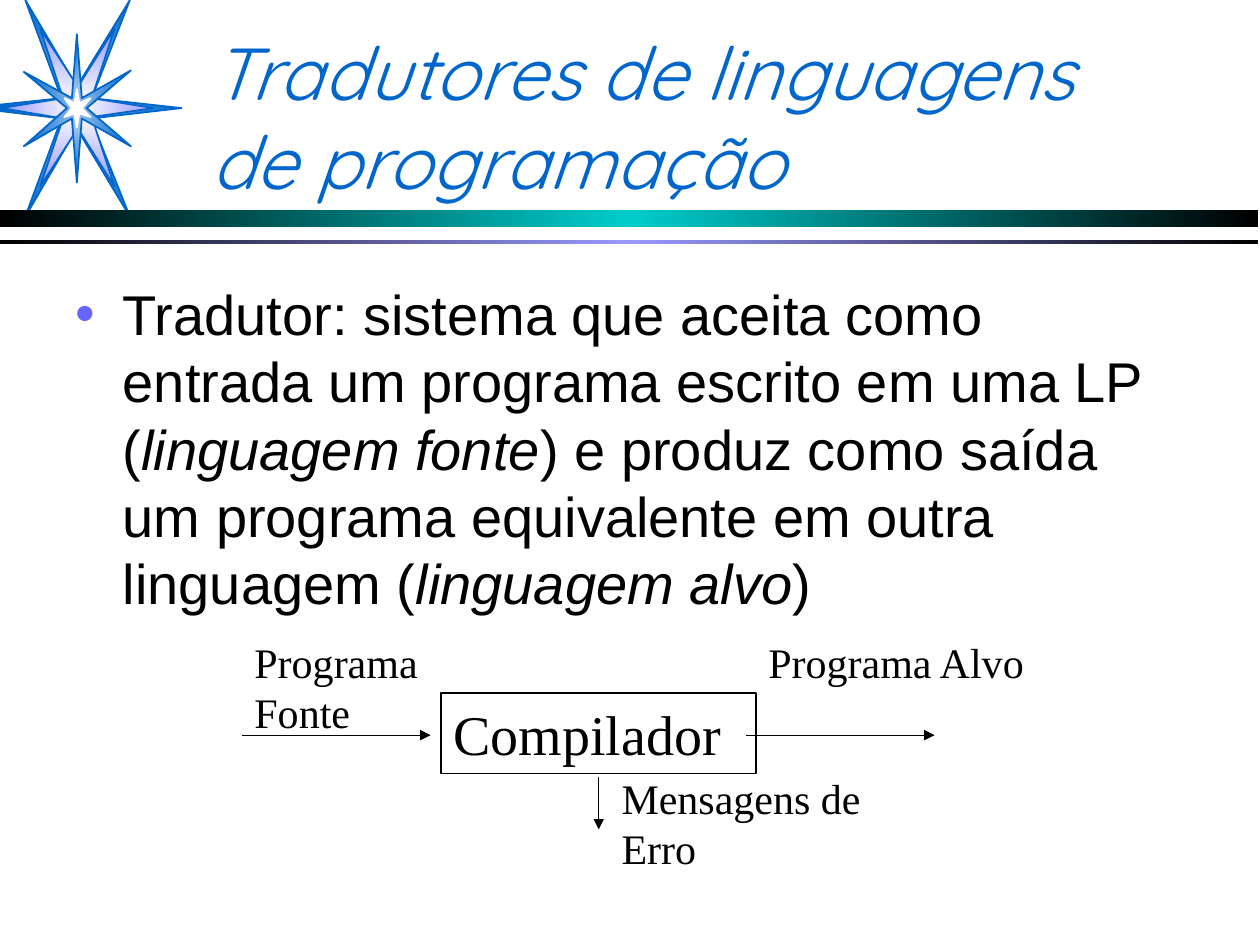
from lxml import etree
from pptx import Presentation
from pptx.dml.color import RGBColor
from pptx.enum.shapes import MSO_CONNECTOR, MSO_SHAPE
from pptx.enum.text import MSO_ANCHOR, MSO_AUTO_SIZE, PP_ALIGN
from pptx.oxml.ns import qn
from pptx.util import Cm, Pt

STRAIGHT = MSO_CONNECTOR.STRAIGHT
RECTANGLE = MSO_SHAPE.RECTANGLE
LEFT = PP_ALIGN.LEFT
TOP, MIDDLE = MSO_ANCHOR.TOP, MSO_ANCHOR.MIDDLE
NO_AUTOFIT = MSO_AUTO_SIZE.NONE

BLACK = RGBColor(0, 0, 0)
WHITE = RGBColor(0xFF, 0xFF, 0xFF)
NEAR_WHITE = RGBColor(0xFE, 0xFE, 0xFE)
BLUE = RGBColor(0x00, 0x66, 0xCC)
MID_BLUE = RGBColor(0x7E, 0xB1, 0xE4)
PALE_BLUE = RGBColor(0x98, 0xC1, 0xE9)
LILAC = RGBColor(0x99, 0x99, 0xFF)
TEAL = RGBColor(0x00, 0xCC, 0xCC)
VIOLET = RGBColor(0x66, 0x66, 0xFF)
SERIF = "Times New Roman"
LINE_HEIGHT = 1.2

TITLE = "Tradutores de linguagens de programação"
DEFINITION = [
    ("Tradutor: sistema que aceita como entrada um programa escrito em uma LP (", False),
    ("linguagem fonte", True),
    (") e produz como saída um programa equivalente em outra linguagem (", False),
    ("linguagem alvo", True),
    (")", False),
]
COMPILER = "Compilador"
LABELS = [
    ("Programa Fonte", 4.88, 12.7, 2.29),
    ("Programa Alvo", 15.24, 12.7, 1.27),
    ("Mensagens de Erro", 12.28, 15.45, 2.29),
]
ARROWS = [
    (4.88, 14.82, 8.68, 14.82),
    (15.04, 14.82, 18.84, 14.82),
    (12.07, 15.66, 12.07, 16.72),
]
STARS = [
    ([MID_BLUE, BLUE], BLUE,
     [(1.24, 1.98), (0.51, 0), (1.55, 1.75), (2.62, 0), (1.85, 1.98), (3.66, 2.18), (1.83, 2.39),
      (2.62, 4.37), (1.55, 2.59), (0.51, 4.37), (1.24, 2.39), (0, 2.24), (0, 2.11)]),
    ([NEAR_WHITE, LILAC], BLUE,
     [(1.27, 1.98), (0.81, 0.58), (1.57, 1.75), (2.31, 0.58), (1.85, 1.98), (3.1, 2.18),
      (1.85, 2.36), (2.31, 3.76), (1.57, 2.59), (0.81, 3.76), (1.27, 2.39), (0.03, 2.18)]),
    ([PALE_BLUE, BLUE], BLUE,
     [(0.48, 1.45), (1.45, 1.98), (1.55, 0.69), (1.65, 1.98), (2.64, 1.42), (1.75, 2.18),
      (2.64, 2.95), (1.65, 2.39), (1.55, 3.68), (1.45, 2.39), (0.48, 2.95), (1.35, 2.18)]),
    ([WHITE, WHITE], WHITE,
     [(1.3, 1.98), (1.5, 2.08), (1.55, 1.8), (1.6, 2.08), (1.83, 1.98), (1.65, 2.18),
      (1.83, 2.36), (1.6, 2.29), (1.55, 2.57), (1.5, 2.29), (1.3, 2.36), (1.45, 2.18)]),
]
BARS = [(4.24, 0.33, TEAL), (4.83, 0.1, LILAC)]


def child(parent, tag, **attributes):
    return etree.SubElement(parent, qn(tag), attributes)


def fill_gradient(shape, colors, from_center):
    shape.fill.gradient()
    gradient = shape._element.spPr.find(qn("a:gradFill"))
    for part in list(gradient):
        gradient.remove(part)
    stops = child(gradient, "a:gsLst")
    for index, color in enumerate(colors):
        stop = child(stops, "a:gs", pos=str(100000 * index // (len(colors) - 1)))
        child(stop, "a:srgbClr", val=str(color))
    if from_center:
        route = child(gradient, "a:path", path="rect")
        child(route, "a:fillToRect", l="50000", t="50000", r="50000", b="50000")
    else:
        child(gradient, "a:lin", ang="0", scaled="0")


def add_star(slide, colors, outline, points):
    corners = [(Cm(x), Cm(y)) for x, y in points]
    builder = slide.shapes.build_freeform(*corners[0])
    builder.add_line_segments(corners[1:], close=True)
    star = builder.convert_to_shape()
    star.shadow.inherit = False
    fill_gradient(star, colors, True)
    star.line.color.rgb = outline
    star.line.width = Pt(1)


def add_bar(slide, top, height, middle_color):
    bar = slide.shapes.add_shape(RECTANGLE, 0, Cm(top), Cm(25.37), Cm(height))
    bar.shadow.inherit = False
    bar.line.fill.background()
    fill_gradient(bar, [BLACK, middle_color, BLACK], False)


def place(shape, left, top, width, height):
    shape.left, shape.top = Cm(left), Cm(top)
    shape.width, shape.height = Cm(width), Cm(height)


def format_text(shape, font_name, size, color, anchor=TOP):
    frame = shape.text_frame
    frame.word_wrap = True
    frame.auto_size = NO_AUTOFIT
    frame.vertical_anchor = anchor
    paragraph = frame.paragraphs[0]
    paragraph.alignment = LEFT
    paragraph.space_before = Pt(0)
    paragraph.line_spacing = Pt(round(size * LINE_HEIGHT, 1))
    for run in paragraph.runs:
        run.font.name = font_name
        run.font.size = Pt(size)
        run.font.color.rgb = color


def add_title(slide):
    title = slide.shapes.title
    place(title, 4.01, 0.64, 19.48, 3.38)
    title.text_frame.text = TITLE
    format_text(title, "Quicksand", 42, BLUE, MIDDLE)
    title.text_frame.paragraphs[0].runs[0].font.italic = True


def add_definition(slide):
    definition = slide.placeholders[1]
    place(definition, 1.27, 5.51, 22.86, 7.19)
    paragraph = definition.text_frame.paragraphs[0]
    properties = paragraph._p.get_or_add_pPr()
    properties.set("marL", str(Cm(0.95)))
    properties.set("indent", str(-Cm(0.95)))
    child(child(properties, "a:buClr"), "a:srgbClr", val=str(VIOLET))
    child(properties, "a:buChar", char="•")
    for text, italic in DEFINITION:
        run = paragraph.add_run()
        run.text = text
        run.font.italic = italic
    format_text(definition, "Arial", 32, BLACK)


def add_compiler(slide):
    compiler = slide.shapes.add_shape(RECTANGLE, Cm(8.89), Cm(13.97), Cm(6.35), Cm(1.63))
    compiler.shadow.inherit = False
    compiler.fill.background()
    compiler.line.color.rgb = BLACK
    compiler.line.width = Pt(0.75)
    compiler.text_frame.text = COMPILER
    format_text(compiler, SERIF, 32, BLACK)


def add_label(slide, text, left, top, height):
    label = slide.shapes.add_textbox(Cm(left), Cm(top), Cm(5.8), Cm(height))
    label.text_frame.text = text
    format_text(label, SERIF, 24, BLACK)


def add_arrow(slide, *ends):
    arrow = slide.shapes.add_connector(STRAIGHT, *map(Cm, ends))
    arrow.line.color.rgb = BLACK
    arrow.line.width = Pt(0.75)
    child(arrow.line._get_or_add_ln(), "a:tailEnd", type="triangle")
    child(arrow._element.spPr, "a:effectLst")


def main():
    presentation = Presentation()
    presentation.slide_width, presentation.slide_height = Cm(25.4), Cm(19.05)
    slide = presentation.slides.add_slide(presentation.slide_layouts[1])
    for star in STARS:
        add_star(slide, *star)
    for bar in BARS:
        add_bar(slide, *bar)
    add_title(slide)
    add_definition(slide)
    add_compiler(slide)
    for arrow in ARROWS:
        add_arrow(slide, *arrow)
    for label in LABELS:
        add_label(slide, *label)
    presentation.save("out.pptx")


if __name__ == "__main__":
    main()
